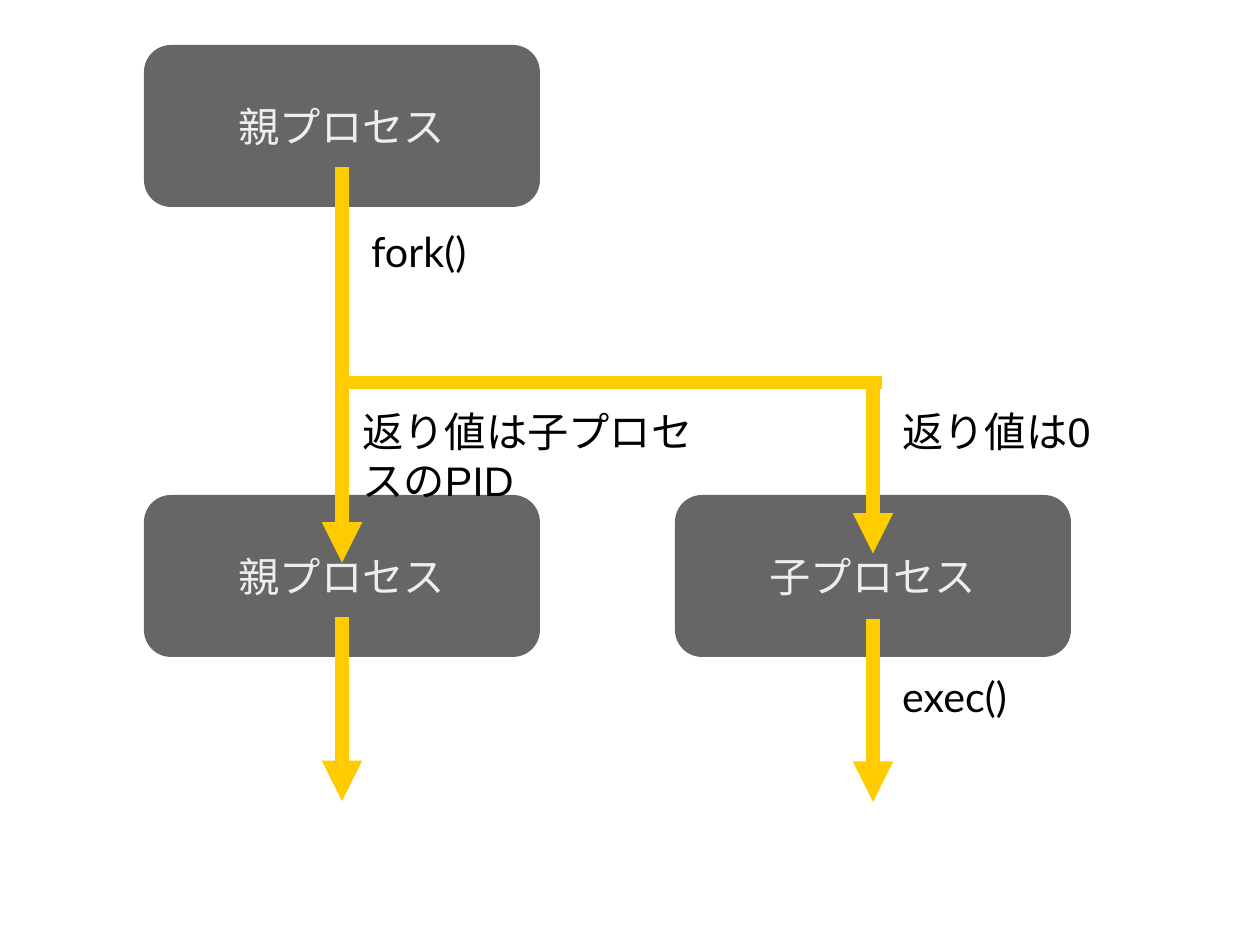
from pptx import Presentation
from pptx.dml.color import RGBColor
from pptx.enum.shapes import MSO_CONNECTOR, MSO_SHAPE
from pptx.enum.text import MSO_ANCHOR, MSO_AUTO_SIZE, PP_ALIGN
from pptx.oxml.ns import qn
from pptx.util import Inches, Pt
from lxml.etree import SubElement

COLORS = {"box": "666666", "box_text": "EEEEEE", "arrow": "FFCC00", "label": "000000"}
CM_PER_INCH = 2.54
PARENT_X, CHILD_X = 7.6, 19.4
BOX_WIDTH, BOX_HEIGHT = 8.8, 3.6
FORK_Y = 8.5


def metric(*centimetres):
    return [Inches(value / CM_PER_INCH) for value in centimetres]


def add_text(paragraph, text, font_name, color_name):
    run = paragraph.add_run()
    run.text = text
    run.font.size = Pt(26)
    run.font.name = font_name
    run.font.color.rgb = RGBColor.from_string(COLORS[color_name])


presentation = Presentation()
presentation.slide_width, presentation.slide_height = metric(28, 21)
slide = presentation.slides.add_slide(presentation.slide_layouts[6])

processes = [
    (PARENT_X, 1, "親プロセス"),
    (PARENT_X, 11, "親プロセス"),
    (CHILD_X, 11, "子プロセス"),
]
for center, top, name in processes:
    box = slide.shapes.add_shape(
        MSO_SHAPE.ROUNDED_RECTANGLE,
        *metric(center - BOX_WIDTH / 2, top, BOX_WIDTH, BOX_HEIGHT))
    box.shadow.inherit = False
    box.fill.solid()
    box.fill.fore_color.rgb = RGBColor.from_string(COLORS["box"])
    box.line.fill.background()
    box.text_frame.word_wrap = False
    box.text_frame.vertical_anchor = MSO_ANCHOR.MIDDLE
    paragraph = box.text_frame.paragraphs[0]
    paragraph.alignment = PP_ALIGN.CENTER
    add_text(paragraph, name, "Arial", "box_text")

flows = [
    (PARENT_X, 3.7, PARENT_X, 12.5, True),
    (PARENT_X, FORK_Y, 19.6, FORK_Y, False),
    (CHILD_X, FORK_Y, CHILD_X, 12.3, True),
    (PARENT_X, 13.72, PARENT_X, 17.8, True),
    (CHILD_X, 13.75, CHILD_X, 17.82, True),
]
for *ends, has_head in flows:
    connector = slide.shapes.add_connector(MSO_CONNECTOR.STRAIGHT, *metric(*ends))
    connector.line.color.rgb = RGBColor.from_string(COLORS["arrow"])
    connector.line.width = Pt(8.5)
    properties = connector._element.spPr
    if has_head:
        SubElement(properties.find(qn("a:ln")), qn("a:tailEnd"), type="triangle")
    SubElement(properties, qn("a:effectLst"))

labels = [
    (8, 4.9, 5.6, 1.5, "fork()", "Lato"),
    (7.8, 8.9, 8.4, 2.92, "返り値は子プロセスのPID", "Arial"),
    (19.8, 8.9, 6.8, 2.08, "返り値は0", "Arial"),
    (19.8, 14.8, 5.6, 1.5, "exec()", "Lato"),
]
for *bounds, text, font_name in labels:
    label = slide.shapes.add_textbox(*metric(*bounds))
    label.text_frame.word_wrap = True
    label.text_frame.auto_size = MSO_AUTO_SIZE.SHAPE_TO_FIT_TEXT
    add_text(label.text_frame.paragraphs[0], text, font_name, "label")

presentation.save("out.pptx")
